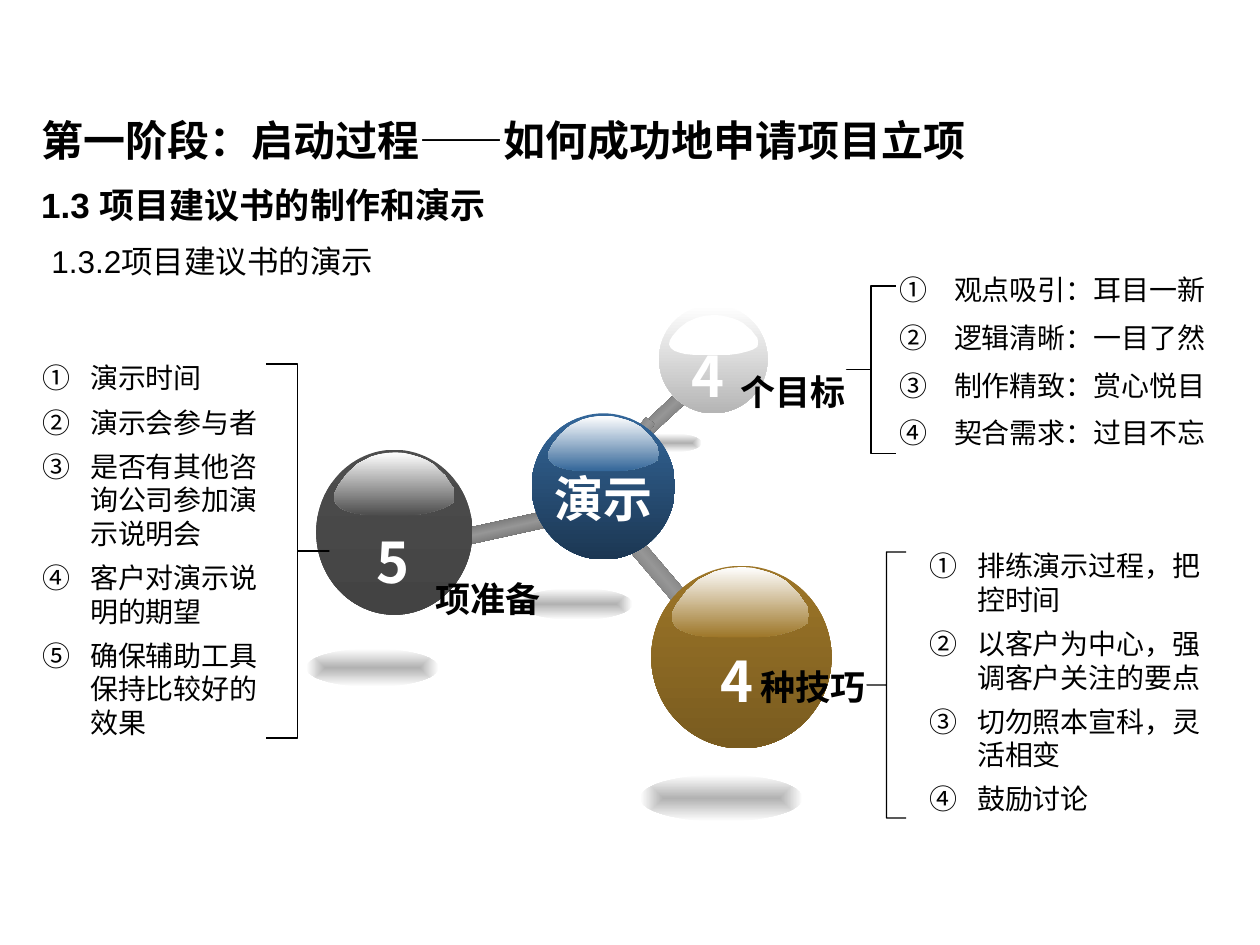
from typing import NamedTuple

from lxml import etree
from pptx import Presentation
from pptx.dml.color import RGBColor
from pptx.enum import shapes, text
from pptx.oxml import ns
from pptx.util import Pt

CJK = "Noto Sans CJK SC"
BLACK, WHITE = "000000", "FFFFFF"
KIND = shapes.MSO_SHAPE


class Box(NamedTuple):
    x: float
    y: float
    w: float
    h: float

    def pts(self):
        return [Pt(v) for v in self]


class Ball(NamedTuple):
    box: Box
    top: str
    low: str
    gloss: Box


class Bar(NamedTuple):
    box: Box
    turn: float


class Label(NamedTuple):
    box: Box
    words: str
    size: float
    color: str = BLACK
    bold: bool = True
    face: str = CJK
    grow: bool = True
    wrap: bool = True


class Points(NamedTuple):
    box: Box
    items: list
    gap: float
    hang: float


class Brace(NamedTuple):
    box: Box
    kind: int


# Outline of the highlight on a ball, in percent of its box
GLOSS = [(99, 57), (100, 68), (99, 79), (94, 86), (87, 91), (78, 96), (68, 99),
         (61, 100), (37, 100), (27, 99), (18, 97), (11, 93), (6, 89), (2, 82),
         (0, 73), (1, 63), (4, 52), (11, 34), (16, 25), (20, 18), (26, 12),
         (31, 7), (38, 3), (44, 1), (51, 0), (58, 1), (64, 4), (71, 8),
         (77, 13), (83, 20), (87, 28), (92, 37), (95, 46)]

HEADS = [
    Label(Box(16.5, 101.5, 382, 31.5), "1.3 项目建议书的制作和演示", 20, face="Arial"),
    Label(Box(22.3, 134.6, 366, 29), "1.3.2项目建议书的演示", 18, bold=False, face="Arial"),
    Label(Box(16.5, 62, 648, 39.6), "第一阶段：启动过程——如何成功地申请项目立项", 24,
          face="Times New Roman", grow=False),
]
SHADES = [Box(363, 247.7, 38, 10.8), Box(297.4, 336.2, 64, 18),
          Box(365.8, 442.8, 92.9, 26.6), Box(175, 370.8, 75.6, 21.6)]
BARS = [Bar(Box(363.6, 230.4, 36, 8), 317.2), Bar(Box(355, 326.9, 50.4, 9.4), 229.5),
        Bar(Box(259.2, 298, 51, 9.4), 347.6), Bar(Box(346.3, 249.8, 31.7, 6.5), 306.6)]
BALLS = [
    Ball(Box(303.8, 236.2, 82, 83.5), "336699", "1C3753", Box(313.2, 237.6, 63.4, 31.7)),
    Ball(Box(376.6, 174.2, 62, 62), WHITE, "B5B5B5", Box(382.3, 180, 51, 23)),
    Ball(Box(180.7, 257, 89.3, 94.3), "4D4D4D", "434343", Box(190.8, 258.5, 69, 36)),
    Ball(Box(372.2, 323.3, 103, 104.4), "9D7628", "795B1F", Box(383.8, 324, 78.5, 40.3)),
]
LABELS = [
    Label(Box(388, 191.5, 28, 46), "4", 32, WHITE),
    Label(Box(208, 298, 34, 46), "5", 32, WHITE),
    Label(Box(404.6, 365.8, 34.6, 46), "4", 32, WHITE, wrap=False),
    Label(Box(416.2, 208, 78.5, 31.7), "个目标", 20),
    Label(Box(427.7, 376.6, 96.5, 31), "种技巧", 20),
    Label(Box(242, 326.2, 96.5, 31.7), "项准备", 20),
    Label(Box(309.6, 264.2, 78.5, 41), "演示", 28, WHITE),
]
LISTS = [
    Points(Box(506.2, 152, 201.6, 114.5),
           ["观点吸引：耳目一新", "逻辑清晰：一目了然", "制作精致：赏心悦目", "契合需求：过目不忘"],
           8, 31),
    Points(Box(523.4, 309.6, 180, 162),
           ["排练演示过程，把控时间", "以客户为中心，强调客户关注的要点",
            "切勿照本宣科，灵活相变", "鼓励讨论"], 6, 27),
    Points(Box(16.5, 202.3, 140.4, 252),
           ["演示时间", "演示会参与者", "是否有其他咨询公司参加演示说明会",
            "客户对演示说明的期望", "确保辅助工具保持比较好的效果"], 6, 27),
]
BRACES = [Brace(Box(483.8, 163.4, 28, 95.8), KIND.LEFT_BRACE),
          Brace(Box(495.4, 315.4, 22.3, 152), KIND.LEFT_BRACE),
          Brace(Box(152, 208, 36, 213.8), KIND.RIGHT_BRACE)]


def rgb(code: str) -> RGBColor:
    return RGBColor.from_string(code)


def add(node, tag: str, **vals):
    return etree.SubElement(node, ns.qn(tag), {k: str(v) for k, v in vals.items()})


def blend(shape, *codes: str, center: bool = False):
    """Fill with evenly spaced stops, downwards or out from the center."""
    shape.shadow.inherit = False
    shape.line.fill.background()
    shape.fill.background()
    old = shape._element.spPr.find(ns.qn("a:noFill"))
    grad = etree.Element(ns.qn("a:gradFill"), rotWithShape="1")
    stops = add(grad, "a:gsLst")
    for i, code in enumerate(codes):
        stop = add(stops, "a:gs", pos=100000 * i // (len(codes) - 1))
        add(stop, "a:srgbClr", val=code)
    if center:
        way = add(grad, "a:path", path="shape")
        add(way, "a:fillToRect", l=50000, t=50000, r=50000, b=50000)
    else:
        add(grad, "a:lin", ang=5400000, scaled=1)
    old.getparent().replace(old, grad)


def draw_bar(tree, bar: Bar):
    shape = tree.add_shape(KIND.RECTANGLE, *bar.box.pts())
    shape.rotation = bar.turn
    blend(shape, "454545", "969696", "454545")


def draw_shade(tree, box: Box):
    blend(tree.add_shape(KIND.OVAL, *box.pts()), "B2B2B2", WHITE, center=True)


def draw_ball(tree, ball: Ball):
    blend(tree.add_shape(KIND.OVAL, *ball.box.pts()), ball.top, ball.low)
    x, y, w, h = ball.gloss
    dots = [(Pt(x + w * a / 100), Pt(y + h * b / 100)) for a, b in GLOSS]
    pen = tree.build_freeform(*dots[0], scale=1.0)
    pen.add_line_segments(dots[1:], close=True)
    blend(pen.convert_to_shape(), WHITE, ball.top)


def style(run, face: str, size: float, color: str, bold: bool):
    for key, val in {"name": face, "size": Pt(size), "bold": bold}.items():
        setattr(run.font, key, val)
    run.font.color.rgb = rgb(color)
    if face == CJK:
        add(run._r.get_or_add_rPr(), "a:ea", typeface=face)


def add_frame(tree, box: Box, grow: bool = True, wrap: bool = True):
    frame = tree.add_textbox(*box.pts()).text_frame
    frame.word_wrap = wrap
    fit = text.MSO_AUTO_SIZE
    frame.auto_size = fit.SHAPE_TO_FIT_TEXT if grow else fit.NONE
    return frame


def draw_label(tree, label: Label):
    frame = add_frame(tree, label.box, label.grow, label.wrap)
    run = frame.paragraphs[0].add_run()
    run.text = label.words
    style(run, label.face, label.size, label.color, label.bold)


def draw_list(tree, group: Points):
    frame = add_frame(tree, group.box)
    for side, gap in {"left": 8, "right": 8, "top": 4, "bottom": 4}.items():
        setattr(frame, "margin_" + side, Pt(gap))
    for i, item in enumerate(group.items):
        para = frame.add_paragraph() if i else frame.paragraphs[0]
        props = para._p.get_or_add_pPr()
        props.set("marL", str(Pt(group.hang)))
        props.set("indent", str(-Pt(group.hang)))
        add(props, "a:buFont", typeface=CJK)
        add(props, "a:buAutoNum", type="circleNumDbPlain")
        if i:
            para.space_before = Pt(group.gap)
        run = para.add_run()
        run.text = item
        style(run, CJK, 16, BLACK, False)


def draw_brace(tree, brace: Brace):
    shape = tree.add_shape(brace.kind, *brace.box.pts())
    shape.shadow.inherit = False
    shape.adjustments[0] = 0
    shape.adjustments[1] = 0.5
    shape.fill.background()
    shape.line.color.rgb = rgb(BLACK)
    shape.line.width = Pt(0.75)


def main():
    deck = Presentation()
    deck.slide_width, deck.slide_height = Pt(720), Pt(540)
    tree = deck.slides.add_slide(deck.slide_layouts[6]).shapes
    for draw, parts in [(draw_label, HEADS), (draw_shade, SHADES), (draw_bar, BARS),
                        (draw_ball, BALLS), (draw_label, LABELS),
                        (draw_list, LISTS), (draw_brace, BRACES)]:
        for part in parts:
            draw(tree, part)
    deck.save("out.pptx")


if __name__ == "__main__":
    main()
